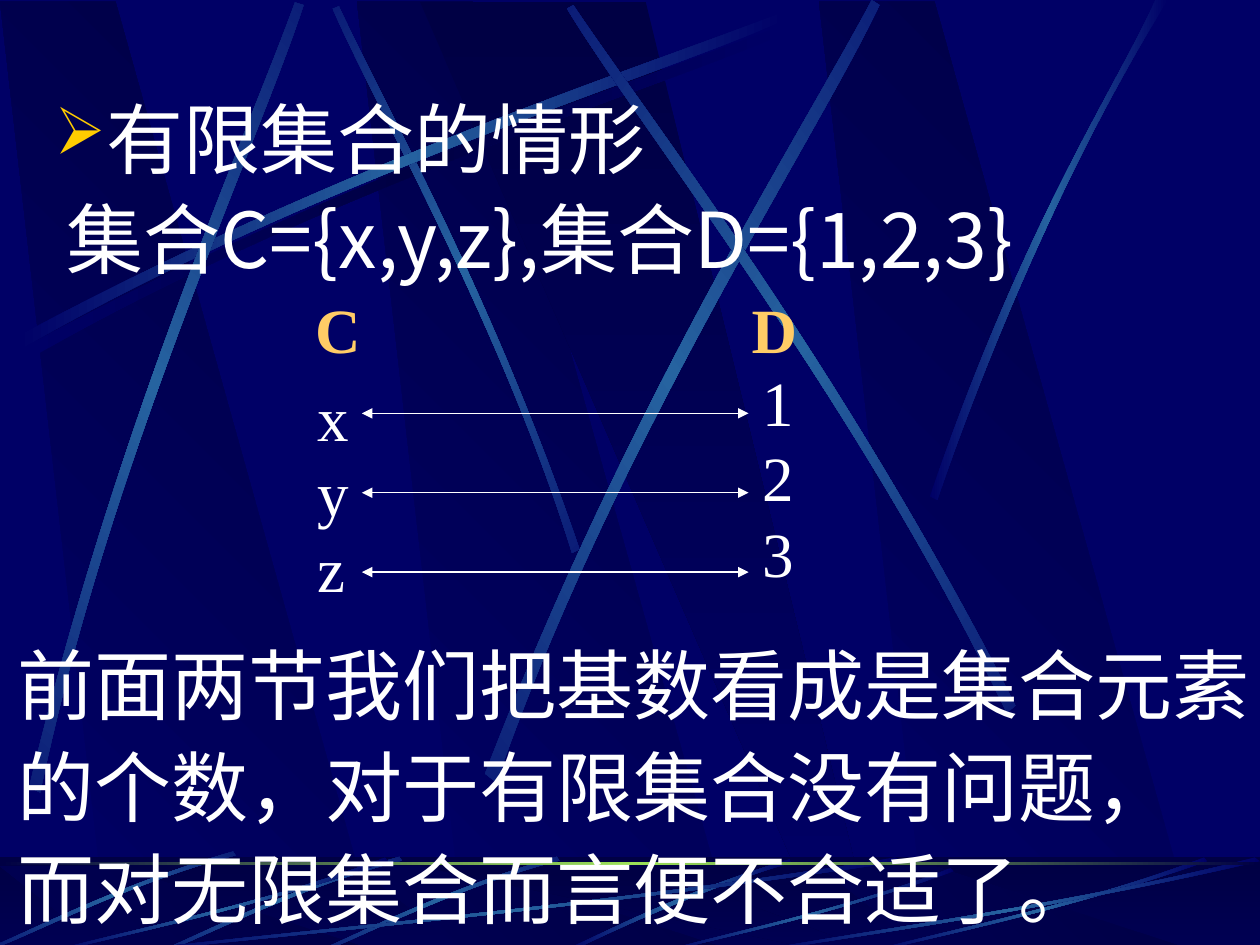
"""Builds a slide that matches the members of two finite sets."""
import copy
import math
from dataclasses import dataclass

import lxml.etree
import pptx
import pptx.dml.color
import pptx.enum.shapes
import pptx.enum.text
import pptx.oxml.ns
import pptx.util

Pt = pptx.util.Pt
qn = pptx.oxml.ns.qn


@dataclass(frozen=True)
class Theme:
    """Colours, fonts and type sizes of the deck."""
    navy: str = "000066"
    shade: str = "000044"
    beam: str = "2663A0"
    horizon: str = "9CE157"
    white: str = "FFFFFF"
    bullet: str = "FFCC00"
    label: str = "FFCC66"
    sans: str = "Noto Sans CJK SC"
    serif: str = "Times New Roman"
    large: int = 44
    medium: int = 36


THEME = Theme()
GLOW = (THEME.navy, THEME.beam, THEME.navy)
DUSK = (THEME.navy, THEME.shade, THEME.navy)
FALL = (THEME.navy, THEME.shade)
RISE = (THEME.shade, THEME.navy)
BODY = {"name": THEME.sans, "size": Pt(THEME.large), "color": THEME.white}
MEMBER = {"name": THEME.serif, "size": Pt(THEME.medium), "color": THEME.white}
LABEL = {**MEMBER, "color": THEME.label, "bold": True}
TIGHT = {"line_spacing": 0.9}

LONG_RAY = [(14.4, 198), (204.5, 96.5), (377.3, 42.5), (450.7, 13),
            (452.9, 17.3), (380.2, 49.7), (182.9, 108.7), (16.6, 205.2)]
RAYS = [
    (LONG_RAY, DUSK, 0, (0, 0)),
    ([(331.2, 313.9), (281.5, 168.5), (217.4, 55.4), (193.7, 3.6),
      (190.1, 5), (212.4, 56.9), (286.6, 185.8), (326.9, 316.1)], GLOW, 45, (0, 0)),
    (LONG_RAY, GLOW, 0, (-4.3, -5.8)),
    ([(16.6, 450), (67, 240.5), (141.8, 75.6), (168.5, 1.4),
      (173.5, 2.9), (149, 78.5), (61.9, 265), (23, 452.9)], GLOW, 311.7, (0, 0)),
    ([(277.2, 442.1), (358.6, 230.4), (459.4, 73.4), (498.2, 0),
      (502.6, 2.9), (467.3, 77.8), (349.9, 255.6), (283.7, 447.1)], GLOW, 321.6, (0, 0)),
    ([(580.3, 403.2), (482.4, 211), (371.5, 68.4), (327.6, 2.9),
      (324, 5), (365, 72.7), (493.2, 234), (575.3, 407.5)], GLOW, 34.8, (0, 0)),
    ([(531.4, 283.7), (586.1, 124.6), (639.4, 47.5), (660.2, 0),
      (667.4, 0), (601.9, 104.4), (553.7, 231.8), (535.7, 285.8)], GLOW, 0, (0, 0)),
]
SHORT_RAY = [(318.2, 489.6), (255.6, 507.6), (206.6, 532.8), (184.3, 542.2),
             (185, 543.6), (207.4, 535), (262.8, 506.2), (319.7, 491.8)]
FLOOR_RAYS = [
    ([(451.4, 491), (386.6, 510.5), (343.4, 534.2), (322.6, 542.9),
      (326.2, 543.6), (352.8, 530.6), (411.1, 504), (452.2, 493.2)], GLOW, 0, (0, 0)),
    *[(SHORT_RAY, GLOW, 314.9, shift) for shift in ((0, 0), (-90, 0), (-185, -3))],
]
STREAK = [(1, 0.04), (0.57, 0.57), (0.17, 0.85), (0.01, 1),
          (0, 0.99), (0.17, 0.81), (0.62, 0.51), (0.99, 0)]
STREAK_BOXES = [(72, 490, 444, 54), (30, 490, 192, 54), (379, 496, 166, 48),
                (498, 490, 192, 54), (432, 490, 288, 54)]


def colour(code):
    """Return the colour object for a hex code."""
    return pptx.dml.color.RGBColor.from_string(code)


def put(target, values):
    """Set each named value on the target."""
    for name, value in values.items():
        setattr(target, name, value)


def add_xml(parent, tag, **attributes):
    """Append a drawing element to the parent and return it."""
    return lxml.etree.SubElement(parent, qn(tag), attributes)


def shade(shape, colours, angle):
    """Fill a shape with evenly spaced gradient colours, turned clockwise."""
    shape.shadow.inherit = False
    shape.line.fill.background()
    shape.fill.gradient()
    shape.fill.gradient_angle = (360 - angle) % 360
    stops = shape.element.spPr.find(qn("a:gradFill")).find(qn("a:gsLst"))
    for _ in colours[2:]:
        stops.append(copy.deepcopy(stops[0]))
    for index, stop in enumerate(shape.fill.gradient_stops):
        stop.color.rgb = colour(colours[index])
        stop.position = index / (len(colours) - 1)


def add_outline(page, points, colours, angle):
    """Draw a closed, shaded outline through the points and return it."""
    corners = [(Pt(x), Pt(y)) for x, y in points]
    builder = page.shapes.build_freeform(*corners[0], scale=1.0)
    builder.add_line_segments(corners[1:], close=True)
    outline = builder.convert_to_shape()
    shade(outline, colours, angle)
    return outline


def turn(x, y, degrees):
    """Return a point turned clockwise about the page corner."""
    sine, cosine = math.sin(math.radians(degrees)), math.cos(math.radians(degrees))
    return x * cosine - y * sine, x * sine + y * cosine


def add_ray(page, controls, colours, angle, shift):
    """Draw a thin band between two curves, as a shape turned by the angle."""
    level = [turn(x + shift[0], y + shift[1], -angle) for x, y in controls]
    ray = add_outline(page, level, colours, 0)
    track = next(ray.element.spPr.iter(qn("a:path")))
    lines = track.findall(qn("a:lnTo"))
    for first in (0, 4):
        bend = lxml.etree.Element(qn("a:cubicBezTo"))
        lines[first].addprevious(bend)
        for line in lines[first:first + 3]:
            bend.append(line[0])
            track.remove(line)
    x, y = turn(ray.left + ray.width / 2, ray.top + ray.height / 2, angle)
    put(ray, {"left": round(x - ray.width / 2), "top": round(y - ray.height / 2),
              "rotation": angle})


def add_bar(page, left, top, width, height):
    """Add a plain rectangle without outline or shadow."""
    bar = page.shapes.add_shape(pptx.enum.shapes.MSO_SHAPE.RECTANGLE,
                                Pt(left), Pt(top), Pt(width), Pt(height))
    bar.shadow.inherit = False
    bar.line.fill.background()
    return bar


def add_beams(page, top, bottom):
    """Add three slanted beams and a wedge between two heights."""
    for left in (204, 0, 468):
        add_outline(page, [(left + 62, bottom), (left + 217, bottom),
                           (left + 66, top), (left, top)], FALL, 315)
    add_outline(page, [(240, top), (474, bottom), (500, bottom), (369, top)], RISE, 90)


def add_backdrop(page):
    """Fill the page behind the text with beams and rays."""
    page.background.fill.solid()
    page.background.fill.fore_color.rgb = colour(THEME.navy)
    add_beams(page, 1, 541)
    for ray in RAYS:
        add_ray(page, *ray)


def add_floor(page, left, top, width, height):
    """Add the band of rays along the foot of the page."""
    shade(add_bar(page, left, top, width, height), RISE, 90)
    add_beams(page, top + 5, top + height)
    veil = add_bar(page, left, top, width, height)
    veil.fill.solid()
    veil.fill.fore_color.rgb = colour(THEME.shade)
    add_xml(next(veil.element.spPr.iter(qn("a:srgbClr"))), "a:alpha", val="50000")
    for ray in FLOOR_RAYS:
        add_ray(page, *ray)
    for x, y, wide, high in STREAK_BOXES:
        add_ray(page, [(x + u * wide, y + v * high) for u, v in STREAK], GLOW, 0, (0, 0))
    shade(add_bar(page, left, top + 2.5, width, 1.6),
          (THEME.shade, THEME.horizon, THEME.shade), 0)


def write(box, lines, font, layout=None, gap=0, wrap=False):
    """Write one paragraph per line into a box."""
    frame = box.text_frame
    put(frame, {"text": "\n".join(lines), "word_wrap": wrap,
                "auto_size": pptx.enum.text.MSO_AUTO_SIZE.NONE,
                "vertical_anchor": pptx.enum.text.MSO_ANCHOR.TOP})
    for index, para in enumerate(frame.paragraphs):
        put(para, {"alignment": pptx.enum.text.PP_ALIGN.LEFT,
                   "space_before": Pt(gap if index else 0), **(layout or {})})
        for span in para.runs:
            put(span.font, {key: value for key, value in font.items() if key != "color"})
            span.font.color.rgb = colour(font["color"])
            add_xml(span.font._element, "a:ea", typeface=font["name"])


def add_text(page, left, top, width, height, lines, font, **options):
    """Add a text box at the given place."""
    box = page.shapes.add_textbox(Pt(left), Pt(top), Pt(width), Pt(height))
    write(box, lines, font, **options)


def add_heading(page, left, top, width, height):
    """Place the bulleted title above the backdrop."""
    title = page.shapes.title
    put(title, {"left": Pt(left), "top": Pt(top), "width": Pt(width), "height": Pt(height)})
    page.shapes.element.append(title.element)
    write(title, ["有限集合的情形"], BODY, layout=TIGHT, wrap=True)
    props = title.text_frame.paragraphs[0]._p.get_or_add_pPr()
    props.set("marL", str(Pt(27)))
    props.set("indent", str(-Pt(27)))
    add_xml(add_xml(props, "a:buClr"), "a:srgbClr", val=THEME.bullet)
    add_xml(props, "a:buSzPct", val="85000")
    add_xml(props, "a:buChar", char="➢")


def add_mapping(page, left, top, width):
    """Add two labelled columns of members joined by double arrows."""
    right = left + width
    add_text(page, left + 0.4, top + 50.5, 32, 180, ["x", "y", "z"], MEMBER)
    add_text(page, right - 33.6, top + 42, 32, 180, ["1", "2", "3"], MEMBER)
    add_text(page, left - 1, top + 0.3, 40, 50, ["C"], LABEL)
    add_text(page, right - 39.6, top + 0.3, 40, 50, ["D"], LABEL)
    for row in range(3):
        height = Pt(top + 74.2 + row * 45.36)
        arrow = page.shapes.add_connector(pptx.enum.shapes.MSO_CONNECTOR.STRAIGHT,
                                          Pt(left + 32.8), height, Pt(right - 34.2), height)
        arrow.line.width = Pt(0.75)
        arrow.line.color.rgb = colour(THEME.white)
        outline = arrow.element.spPr.find(qn("a:ln"))
        for end in ("a:headEnd", "a:tailEnd"):
            add_xml(outline, end, type="triangle")
        add_xml(arrow.element.spPr, "a:effectLst")


def main():
    """Build and save the deck."""
    deck = pptx.Presentation()
    put(deck, {"slide_width": Pt(720), "slide_height": Pt(540)})
    page = deck.slides.add_slide(deck.slide_layouts.get_by_name("Title Only"))
    add_backdrop(page)
    add_floor(page, 0, 490, 720, 54)
    add_text(page, 31, 105.7, 652, 335, ["集合C={x,y,z},集合D={1,2,3}"], BODY, wrap=True)
    add_heading(page, 24, 54.6, 678, 73)
    add_mapping(page, 174, 162, 288)
    add_text(page, 3, 366.5, 714, 172,
             ["前面两节我们把基数看成是集合元素", "的个数，对于有限集合没有问题，",
              "而对无限集合而言便不合适了。"], BODY, layout=TIGHT, gap=11)
    deck.save("out.pptx")


if __name__ == "__main__":
    main()
